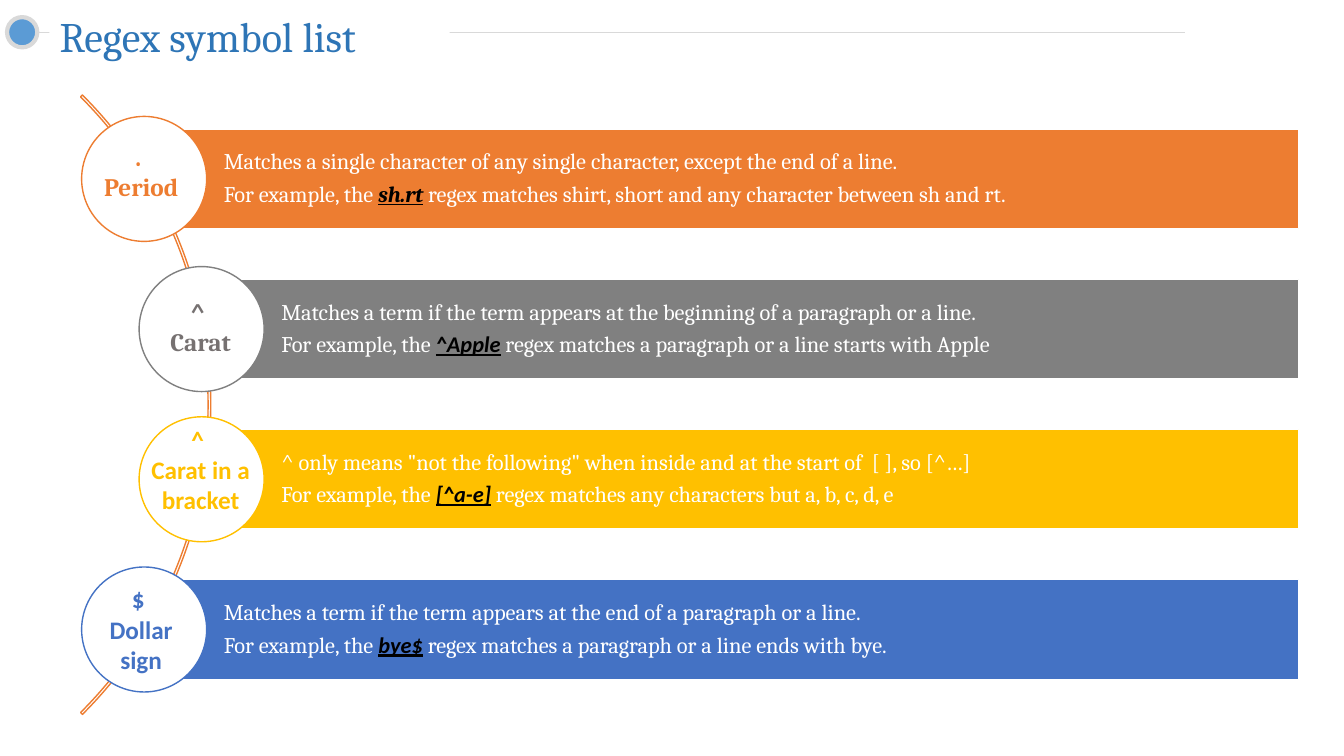
from dataclasses import dataclass

from lxml import etree
from pptx import Presentation
from pptx import util as u
from pptx.dml.color import RGBColor
from pptx.enum import shapes, text
from pptx.oxml import ns


@dataclass(frozen=True)
class Theme:
    serif: str = "Cambria"
    sans: str = "Calibri"
    white: str = "FFFFFF"
    black: str = "000000"
    title: str = "2E75B6"
    dot: str = "5B9BD5"
    rule: str = "D9D9D9"
    arc: str = "ED7D31"
    head: int = 30
    label: int = 18
    body: int = 16


@dataclass(frozen=True)
class Symbol:
    sign: str
    name: str
    face: str
    color: str
    ink: str
    inset: bool
    label: tuple[float, float, float, float]
    wrap: bool
    rule: str
    term: str
    term_face: str
    match: str


T = Theme()
SYMBOLS = [
    Symbol(". ", "Period", T.serif, "ED7D31", "ED7D31", False,
           (0.92, 1.35, 0.96, 0.71), False,
           "Matches a single character of any single character, except the end of a line.",
           "sh.rt", T.serif,
           " regex matches shirt, short and any character between sh and rt."),
    Symbol("^ ", "Carat", T.serif, "808080", "767171", True,
           (1.55, 2.89, 0.88, 0.71), False,
           "Matches a term if the term appears at the beginning of a paragraph or a line.",
           "^Apple", T.sans,
           " regex matches a paragraph or a line starts with Apple"),
    Symbol("^ ", "Carat in a bracket", T.sans, "FFC000", "FFC000", True,
           (1.34, 4.16, 1.3, 1.01), True,
           '^ only means "not the following" when inside and at the start of\u00a0 [ ], so\u00a0[^…]',
           "[^a-e]", T.sans,
           " regex matches any characters but a, b, c, d, e"),
    Symbol("$ ", "Dollar sign", T.sans, "4472C4", "4472C4", False,
           (0.87, 5.74, 1.06, 1.01), True,
           "Matches a term if the term appears at the end of a paragraph or a line.",
           "bye$", T.sans,
           " regex matches a paragraph or a line ends with bye."),
]
TOP, STEP = 1.28, 1.49
BAR_H, RIGHT, DISC = 0.99, 12.88, 1.24


def style(font, face: str, size: int, color: str) -> None:
    font.name, font.size = face, u.Pt(size)
    font.color.rgb = RGBColor.from_string(color)


def draw(slide, kind, box: tuple, fill: str, line: str, width: float = 1):
    shape = slide.shapes.add_shape(kind, *map(u.Inches, box))
    shape.shadow.inherit = False
    shape.fill.solid()
    shape.fill.fore_color.rgb = RGBColor.from_string(fill)
    shape.line.color.rgb = RGBColor.from_string(line)
    shape.line.width = u.Pt(width)
    return shape


def add_head(slide) -> None:
    # Rule and dot
    rule = slide.shapes.add_connector(
        shapes.MSO_CONNECTOR.STRAIGHT, *map(u.Inches, (0.32, 0.32, 11.75, 0.32)))
    rule.line.color.rgb = RGBColor.from_string(T.rule)
    rule.line.width = u.Pt(0.5)
    etree.SubElement(rule.element.spPr, ns.qn("a:effectLst"))
    draw(slide, shapes.MSO_SHAPE.OVAL, (0.07, 0.17, 0.3, 0.3), T.dot, T.rule, 3)

    # Title, placed above the rule to interrupt it
    title = slide.shapes.title
    title.element.getparent().append(title.element)
    title.left, title.top, title.width, title.height = map(
        u.Inches, (0.49, 0.05, 3.97, 0.61))
    title.fill.solid()
    title.fill.fore_color.rgb = RGBColor.from_string(T.white)
    frame = title.text_frame
    frame.text = "Regex symbol list"
    frame.vertical_anchor = text.MSO_ANCHOR.TOP
    frame.paragraphs[0].alignment = text.PP_ALIGN.LEFT
    style(frame.paragraphs[0].font, T.serif, T.head, T.title)


def add_bar(slide, sym: Symbol, top: float) -> None:
    left = 2 if sym.inset else 1.43
    bar = draw(slide, shapes.MSO_SHAPE.RECTANGLE,
               (left, top, RIGHT - left, BAR_H), sym.color, T.white)
    frame = bar.text_frame
    frame.word_wrap = True
    frame.vertical_anchor = text.MSO_ANCHOR.MIDDLE
    frame.margin_left = u.Inches(0.79)
    frame.margin_top = frame.margin_right = frame.margin_bottom = u.Inches(0.04)
    frame.text = sym.rule
    example = frame.add_paragraph()
    for part in ("For example, the ", sym.term, sym.match):
        run = example.add_run()
        run.text = part
        if part == sym.term:
            style(run.font, sym.term_face, T.body, T.black)
            run.font.bold = run.font.italic = run.font.underline = True
    for para in frame.paragraphs:
        para.alignment = text.PP_ALIGN.LEFT
        para.line_spacing = 0.9
        para.space_after = u.Pt(6)
        style(para.font, T.serif, T.body, T.white)

    # Disc over the left end of the bar
    draw(slide, shapes.MSO_SHAPE.OVAL,
         (left - DISC / 2, top + (BAR_H - DISC) / 2, DISC, DISC), T.white, sym.color)


def add_label(slide, sym: Symbol) -> None:
    frame = slide.shapes.add_textbox(*map(u.Inches, sym.label)).text_frame
    frame.word_wrap = sym.wrap
    frame.text = f"{sym.sign}\n{sym.name}"
    for para in frame.paragraphs:
        para.alignment = text.PP_ALIGN.CENTER
        style(para.font, sym.face, T.label, sym.ink)
        para.font.bold = True


def main() -> None:
    deck = Presentation()
    deck.slide_width, deck.slide_height = u.Inches(13.33), u.Inches(7.5)
    slide = deck.slides.add_slide(deck.slide_layouts.get_by_name("Title Only"))
    add_head(slide)

    # Arc behind the discs
    arc = draw(slide, shapes.MSO_SHAPE.BLOCK_ARC, (-6.6, -0.33, 8.69, 8.69), T.arc, T.arc)
    arc.fill.background()
    for i, value in enumerate((189, 27, 0.003)):
        arc.adjustments[i] = value

    # Symbol rows
    for i, sym in enumerate(SYMBOLS):
        add_bar(slide, sym, TOP + i * STEP)
        add_label(slide, sym)
    deck.save("out.pptx")


if __name__ == "__main__":
    main()
